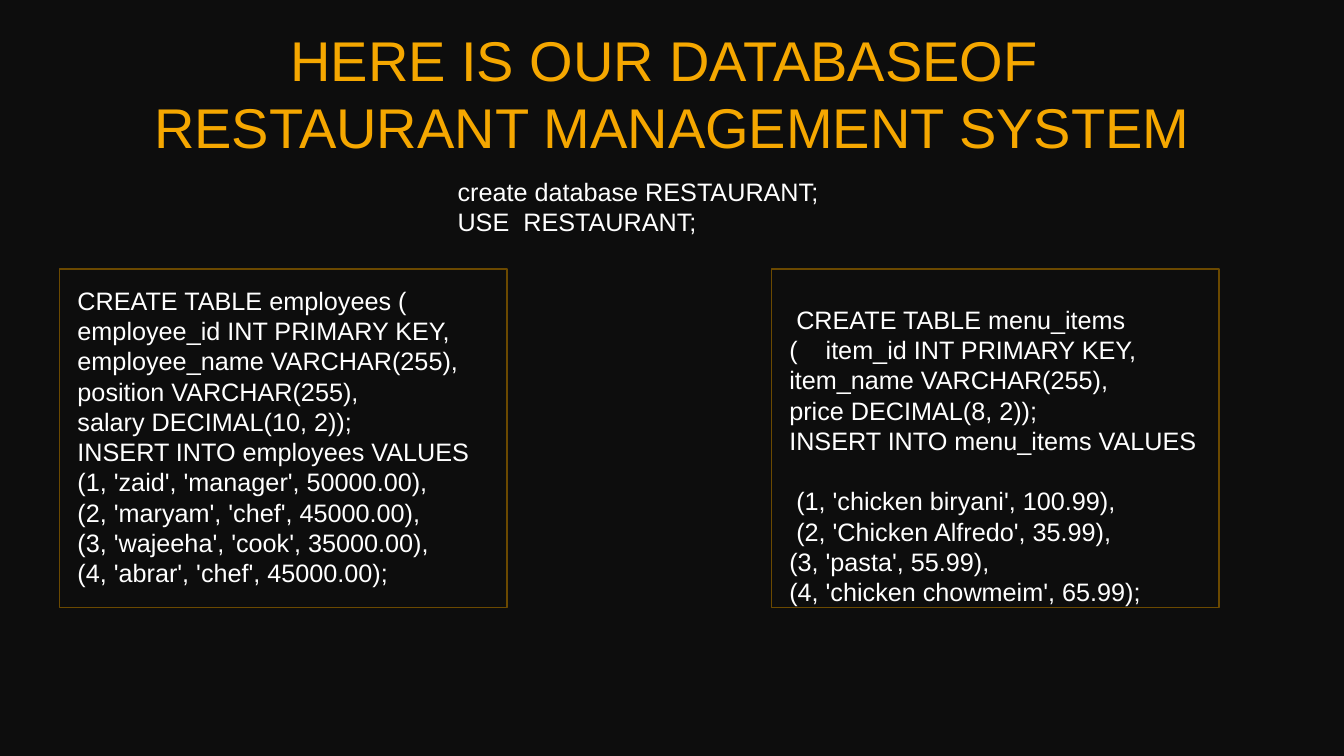
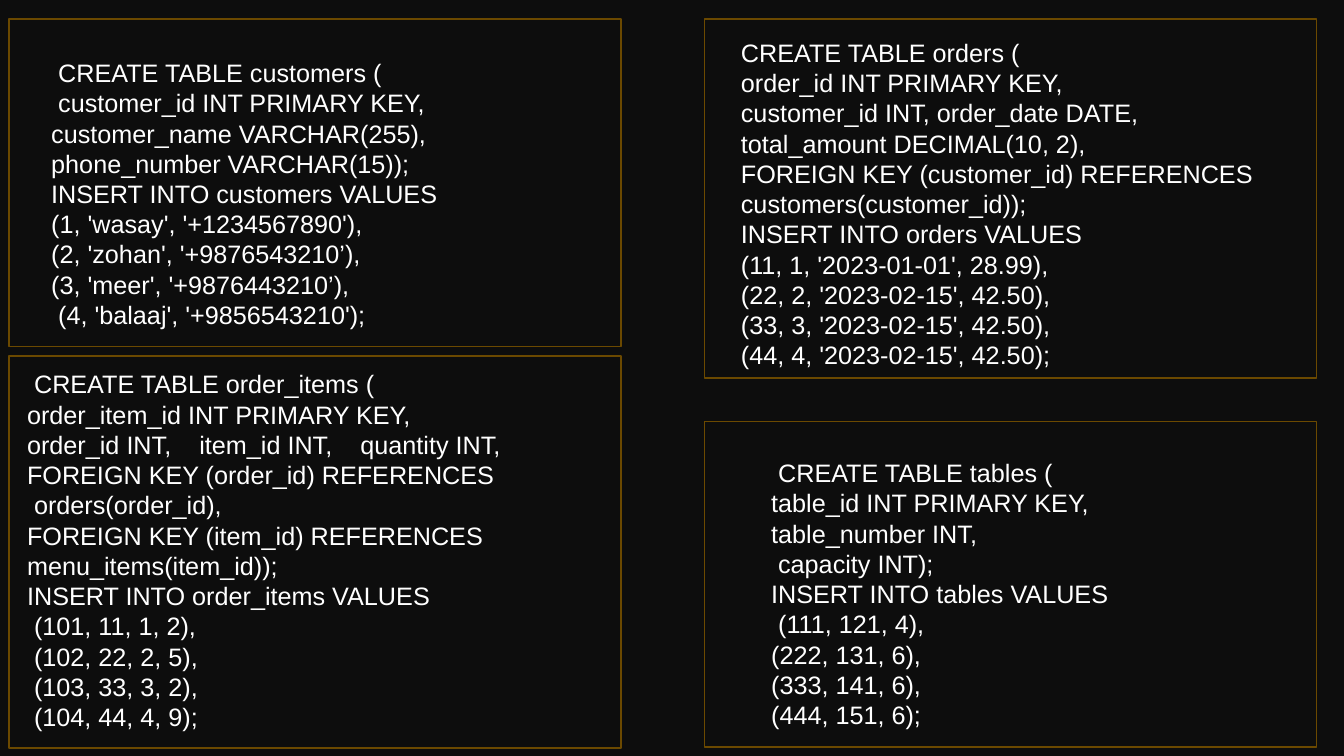
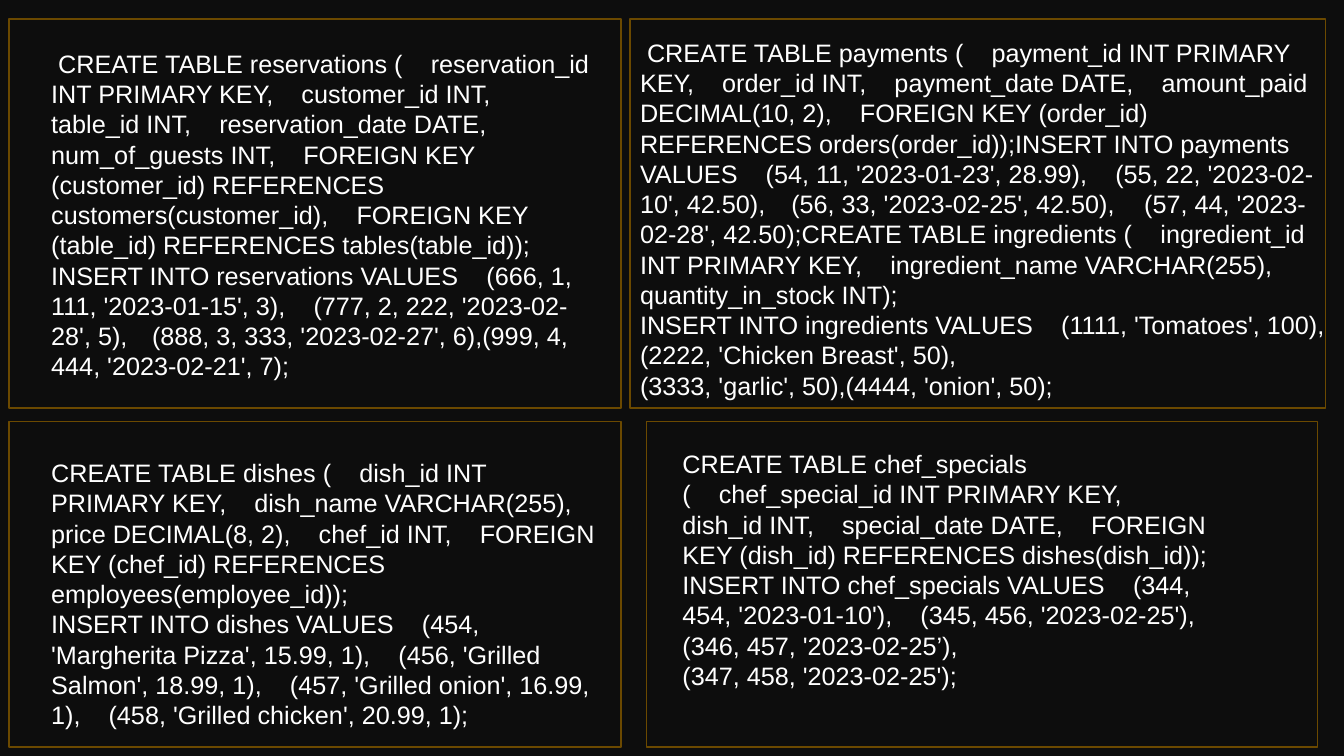
"""Build three slides showing the SQL tables of a restaurant database."""
from dataclasses import dataclass
from typing import NamedTuple, Optional

from pptx import Presentation
from pptx import util as u
from pptx.dml.color import RGBColor
from pptx.enum import shapes, text

COLORS = {"background": "0D0D0D", "title": "F5A700", "code": "FFFFFF", "border": "6B4900"}
FONT = "Arial"
TITLE_SIZE = 40
CODE_SIZE = 18
LINE_FACTOR = 1.2
GAP = "|"
GAP_SPACING = "1500"


class Box(NamedTuple):
    left: float
    top: float
    width: float
    height: float


@dataclass(frozen=True)
class TextBlock:
    box: Box
    lines: tuple[str, ...]
    size: int = CODE_SIZE
    color: str = "code"
    align: text.PP_ALIGN = text.PP_ALIGN.LEFT
    spaced_line: Optional[int] = None


@dataclass(frozen=True)
class SlideContent:
    frames: tuple[Box, ...]
    blocks: tuple[TextBlock, ...]


DATABASE = SlideContent(
    frames=(Box(0.59, 2.67, 4.44, 3.36), Box(7.65, 2.67, 4.44, 3.36)),
    blocks=(
        TextBlock(
            Box(0, 0.2, 13.33, 1.45),
            ("HERE IS OUR DATABASEOF ", "RESTAURANT MANAGEMENT SYSTEM"),
            TITLE_SIZE, "title", text.PP_ALIGN.CENTER,
        ),
        TextBlock(Box(4.44, 1.7, 4.44, 0.71), ("create database RESTAURANT;", "USE  RESTAURANT;")),
        TextBlock(Box(0.67, 2.78, 4.29, 3.13), (
            "CREATE TABLE employees (",
            "employee_id INT PRIMARY KEY,",
            "employee_name VARCHAR(255),",
            "position VARCHAR(255),",
            "salary DECIMAL(10, 2));",
            "INSERT INTO employees VALUES",
            "(1, 'zaid', 'manager', 50000.00),",
            "(2, 'maryam', 'chef', 45000.00),",
            "(3, 'wajeeha', 'cook', 35000.00),",
            "(4, 'abrar', 'chef', 45000.00);",
        )),
        TextBlock(Box(7.73, 2.97, 4.29, 2.83), (
            " CREATE TABLE menu_items (|item_id INT PRIMARY KEY,|item_name VARCHAR(255),",
            "price DECIMAL(8, 2));",
            "INSERT INTO menu_items VALUES",
            " (1, 'chicken biryani', 100.99),",
            " (2, 'Chicken Alfredo', 35.99),",
            "(3, 'pasta', 55.99),",
            "(4, 'chicken chowmeim', 65.99);",
        ), spaced_line=3),
    ),
)

ORDERING = SlideContent(
    frames=(
        Box(0.09, 0.19, 6.07, 3.25), Box(0.09, 3.53, 6.07, 3.89),
        Box(6.99, 4.18, 6.07, 3.23), Box(6.99, 0.19, 6.07, 3.56),
    ),
    blocks=(
        TextBlock(Box(0.41, 0.52, 5.36, 2.83), (
            " CREATE TABLE customers (",
            " customer_id INT PRIMARY KEY,|customer_name VARCHAR(255),|phone_number VARCHAR(15));",
            "INSERT INTO customers VALUES",
            "(1, 'wasay', '+1234567890'),",
            "(2, 'zohan', '+9876543210’),",
            "(3, 'meer', '+9876443210’),",
            " (4, 'balaaj', '+9856543210');",
        )),
        TextBlock(Box(7.25, 0.32, 5.99, 3.43), (
            "CREATE TABLE orders (",
            "order_id INT PRIMARY KEY,",
            "customer_id INT, order_date DATE,",
            "total_amount DECIMAL(10, 2),",
            "FOREIGN KEY (customer_id) REFERENCES customers(customer_id));",
            "INSERT INTO orders VALUES",
            "(11, 1, '2023-01-01', 28.99),",
            "(22, 2, '2023-02-15', 42.50),",
            "(33, 3, '2023-02-15', 42.50),",
            "(44, 4, '2023-02-15', 42.50);",
        )),
        TextBlock(Box(0.17, 3.61, 7.38, 3.74), (
            " CREATE TABLE order_items (",
            "order_item_id INT PRIMARY KEY,",
            "order_id INT,|item_id INT,|quantity INT,",
            "FOREIGN KEY (order_id) REFERENCES",
            " orders(order_id),",
            "FOREIGN KEY (item_id) REFERENCES",
            "menu_items(item_id));",
            "INSERT INTO order_items VALUES",
            " (101, 11, 1, 2),",
            " (102, 22, 2, 5),",
            " (103, 33, 3, 2),",
            " (104, 44, 4, 9);",
        )),
        TextBlock(Box(7.55, 4.49, 4.28, 2.83), (
            " CREATE TABLE tables (",
            "table_id INT PRIMARY KEY,|table_number INT,",
            " capacity INT);",
            "INSERT INTO tables VALUES",
            " (111, 121, 4),",
            "(222, 131, 6),",
            "(333, 141, 6),",
            "(444, 151, 6);",
        )),
    ),
)

SERVICE = SlideContent(
    frames=(
        Box(0.09, 0.19, 6.07, 3.86), Box(0.09, 4.18, 6.07, 3.23),
        Box(6.41, 4.18, 6.66, 3.23), Box(6.25, 0.19, 6.9, 3.86),
    ),
    blocks=(
        TextBlock(Box(0.41, 0.43, 5.67, 3.43), (
            " CREATE TABLE reservations (|reservation_id INT PRIMARY KEY,|customer_id INT,"
            "|table_id INT,|reservation_date DATE,|num_of_guests INT,"
            "|FOREIGN KEY (customer_id) REFERENCES customers(customer_id),"
            "|FOREIGN KEY (table_id) REFERENCES tables(table_id));",
            "INSERT INTO reservations VALUES|(666, 1, 111, '2023-01-15', 3),"
            "|(777, 2, 222, '2023-02-28', 5),\t(888, 3, 333, '2023-02-27', 6),"
            "(999, 4, 444, '2023-02-21', 7);",
        )),
        TextBlock(Box(6.25, 0.32, 7, 3.74), (
            " CREATE TABLE payments (|payment_id INT PRIMARY KEY,|order_id INT,"
            "|payment_date DATE,|amount_paid DECIMAL(10, 2),"
            "|FOREIGN KEY (order_id) REFERENCES orders(order_id));"
            "INSERT INTO payments VALUES|(54, 11, '2023-01-23', 28.99),"
            "|(55, 22, '2023-02-10', 42.50),\t(56, 33, '2023-02-25', 42.50),"
            "\t(57, 44, '2023-02-28', 42.50);"
            "CREATE TABLE ingredients (|ingredient_id INT PRIMARY KEY,"
            "|ingredient_name VARCHAR(255),|quantity_in_stock INT);",
            "INSERT INTO ingredients VALUES|(1111, 'Tomatoes', 100),(2222, 'Chicken Breast', 50),",
            "(3333, 'garlic', 50),(4444, 'onion', 50);",
        )),
        TextBlock(Box(0.41, 4.49, 5.67, 2.83), (
            "CREATE TABLE dishes (|dish_id INT PRIMARY KEY,|dish_name VARCHAR(255),"
            "|price DECIMAL(8, 2),|chef_id INT,"
            "|FOREIGN KEY (chef_id) REFERENCES employees(employee_id));",
            "INSERT INTO dishes VALUES|(454, 'Margherita Pizza', 15.99, 1),"
            "|(456, 'Grilled Salmon', 18.99, 1),|(457, 'Grilled onion', 16.99, 1),"
            "|(458, 'Grilled chicken', 20.99, 1);",
        )),
        TextBlock(Box(6.67, 4.4, 5.45, 2.52), (
            "CREATE TABLE chef_specials (|chef_special_id INT PRIMARY KEY,|dish_id INT,"
            "|special_date DATE,|FOREIGN KEY (dish_id) REFERENCES dishes(dish_id));",
            "INSERT INTO chef_specials VALUES|(344, 454, '2023-01-10'),"
            "|(345, 456, '2023-02-25'),(346, 457, '2023-02-25’),",
            "(347, 458, '2023-02-25');",
        )),
    ),
)


def color(name: str) -> RGBColor:
    """Return a named colour."""
    return RGBColor.from_string(COLORS[name])


def place(box: Box) -> tuple[u.Length, ...]:
    """Return a box as slide lengths."""
    return tuple(u.Inches(value) for value in box)


def add_frame(slide, box: Box) -> None:
    """Draw an unfilled bordered rectangle."""
    shape = slide.shapes.add_shape(shapes.MSO_SHAPE.RECTANGLE, *place(box))
    shape.shadow.inherit = False
    shape.fill.background()
    shape.line.color.rgb = color("border")
    shape.line.width = u.Pt(1)


def add_run(paragraph, words: str, block: TextBlock):
    """Add one run in the style of its block."""
    run = paragraph.add_run()
    run.text = words
    run.font.name = FONT
    run.font.size = u.Pt(block.size)
    run.font.color.rgb = color(block.color)
    return run


def add_line(paragraph, line: str, block: TextBlock) -> None:
    """Fill a paragraph, turning each gap mark into one widened space."""
    for index, words in enumerate(line.split(GAP)):
        if index:
            gap = add_run(paragraph, " ", block)
            gap.font._element.set("spc", GAP_SPACING)
        add_run(paragraph, words, block)


def add_block(slide, block: TextBlock) -> None:
    """Draw a text box with one paragraph per line."""
    frame = slide.shapes.add_textbox(*place(block.box)).text_frame
    frame.word_wrap = True
    frame.auto_size = text.MSO_AUTO_SIZE.SHAPE_TO_FIT_TEXT
    line_height = u.Pt(block.size * LINE_FACTOR)
    for index, line in enumerate(block.lines):
        paragraph = frame.add_paragraph() if index else frame.paragraphs[0]
        paragraph.alignment = block.align
        paragraph.line_spacing = line_height
        if index == block.spaced_line:
            paragraph.space_before = line_height
        add_line(paragraph, line, block)


def main() -> None:
    """Build and save the presentation."""
    presentation = Presentation()
    presentation.slide_width = u.Inches(13.33)
    presentation.slide_height = u.Inches(7.5)
    background = presentation.slide_master.background.fill
    background.solid()
    background.fore_color.rgb = color("background")
    for content in (DATABASE, ORDERING, SERVICE):
        slide = presentation.slides.add_slide(presentation.slide_layouts[6])
        for box in content.frames:
            add_frame(slide, box)
        for block in content.blocks:
            add_block(slide, block)
    presentation.save("out.pptx")


if __name__ == "__main__":
    main()
